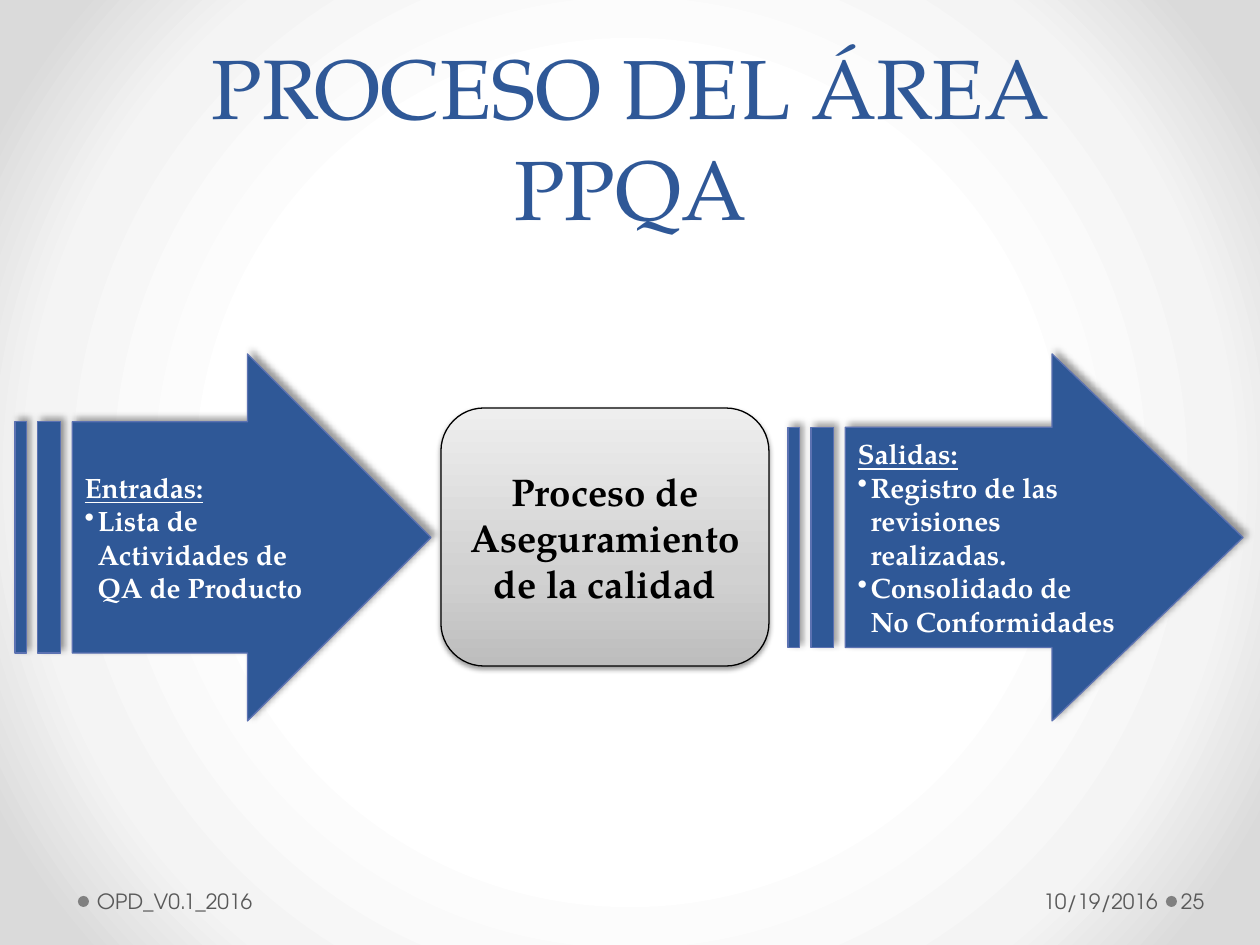
from dataclasses import dataclass

from lxml.etree import SubElement
from pptx import Presentation
from pptx.dml.color import RGBColor
from pptx.enum.shapes import MSO_SHAPE as Shape
from pptx.enum.text import MSO_ANCHOR as Anchor, PP_ALIGN as Align
from pptx.oxml import parse_xml
from pptx.oxml.ns import nsdecls, qn
from pptx.util import Emu, Pt

PX_PER_INCH = 126


def px(length: int) -> Emu:
    return Emu(round(length * 914400 / PX_PER_INCH))


@dataclass(frozen=True)
class Theme:
    blue: str = "2F5897"
    blue_edge: str = "5C72B2"
    white: str = "FFFFFF"
    black: str = "000000"
    footer_text: str = "595959"
    footer_dot: str = "808080"
    backdrop: tuple = ((50, "FFFFFF"), (76, "F4F4F4"), (92, "DADADA"))
    process: tuple = ((0, "BDBDBD"), (35, "D1D1D1"), (100, "EEEEEE"))
    serif: str = "TeX Gyre Pagella"
    sans: str = "TeX Gyre Adventor"
    title_size: int = 48
    process_size: int = 22
    arrow_size: int = 16
    footer_size: int = 12
    edge_width: float = 0.75


THEME = Theme()


@dataclass(frozen=True)
class Box:
    left: int
    top: int
    width: int
    height: int

    def emu(self) -> tuple:
        return tuple(map(px, (self.left, self.top, self.width, self.height)))


@dataclass(frozen=True)
class Shadow:
    opacity: int
    blur: float
    distance: float
    angle: int


@dataclass(frozen=True)
class Arrow:
    box: Box
    shaft: float
    head: float
    heading: str
    items: tuple


@dataclass(frozen=True)
class Label:
    box: Box
    text: str
    font: str
    size: int
    color: str
    align: Align = Align.LEFT
    anchor: Anchor = Anchor.MIDDLE
    insets: tuple = (13, 13)  # left, right


ARROW_SHADOW = Shadow(40, 4, 3, 315)
PROCESS_SHADOW = Shadow(38, 3.1, 1.6, 90)
ARROWS = (
    Arrow(Box(15, 354, 416, 367), 0.63, 0.5, "Entradas:",
          ("Lista de Actividades de QA de Producto",)),
    Arrow(Box(788, 354, 455, 367), 0.6, 0.52, "Salidas:",
          ("Registro de las revisiones realizadas.", "Consolidado de No Conformidades")),
)
PROCESS_BOX = Box(441, 408, 328, 258)
FOOTER_TOP, FOOTER_HEIGHT = 876, 50
FOOTER_DOTS = tuple(Box(left, 896, 11, 11) for left in (1166, 78))
FOOTER_STYLE = (THEME.sans, THEME.footer_size, THEME.footer_text)
LABELS = (
    Label(Box(35, 24, 1191, 219), "PROCESO DEL ÁREA\vPPQA", THEME.serif,
          THEME.title_size, THEME.blue, Align.CENTER, Anchor.BOTTOM),
    Label(Box(91, FOOTER_TOP, 499, FOOTER_HEIGHT), "OPD_V0.1_2016",
          *FOOTER_STYLE, insets=(6, 13)),
    Label(Box(877, FOOTER_TOP, 287, FOOTER_HEIGHT), "10/19/2016",
          *FOOTER_STYLE, align=Align.RIGHT, insets=(13, 6)),
    Label(Box(1177, FOOTER_TOP, 77, FOOTER_HEIGHT), "25",
          *FOOTER_STYLE, insets=(4, 6)),
)


def set_gradient(fill, owner, stops: tuple, direction: str) -> None:
    """Give fill, whose XML lies inside owner, these stops and this direction."""
    fill.gradient()
    default = next(owner.iter(qn("a:gradFill")))
    stop_xml = "".join(f'<a:gs pos="{pos * 1000}"><a:srgbClr val="{color}"/></a:gs>'
                       for pos, color in stops)
    default.getparent().replace(default, parse_xml(
        f'<a:gradFill {nsdecls("a")} rotWithShape="1">'
        f"<a:gsLst>{stop_xml}</a:gsLst>{direction}</a:gradFill>"))


def cast_shadow(shape, shadow: Shadow) -> None:
    shape.shadow.inherit = False
    effects = shape._element.spPr.find(qn("a:effectLst"))
    outer = SubElement(effects, qn("a:outerShdw"), blurRad=str(Pt(shadow.blur)),
                       dist=str(Pt(shadow.distance)), dir=str(shadow.angle * 60000),
                       algn="ctr", rotWithShape="0")
    color = SubElement(outer, qn("a:srgbClr"), val=THEME.black)
    SubElement(color, qn("a:alpha"), val=str(shadow.opacity * 1000))


def set_edge(shape, color: str) -> None:
    shape.line.color.rgb = RGBColor.from_string(color)
    shape.line.width = Pt(THEME.edge_width)


def set_font(paragraph, name: str, size: int, color: str, bold: bool = False) -> None:
    font = paragraph.font
    font.name, font.size, font.bold = name, Pt(size), bold
    font.color.rgb = RGBColor.from_string(color)


def add_bullet(paragraph) -> None:
    properties = paragraph._p.get_or_add_pPr()
    properties.set("marL", str(px(13)))
    properties.set("indent", str(-px(13)))
    SubElement(properties, qn("a:buChar"), char="•")


def draw_arrow(slide, arrow: Arrow) -> None:
    shape = slide.shapes.add_shape(Shape.STRIPED_RIGHT_ARROW, *arrow.box.emu())
    shape.adjustments[0], shape.adjustments[1] = arrow.shaft, arrow.head
    shape.fill.solid()
    shape.fill.fore_color.rgb = RGBColor.from_string(THEME.blue)
    set_edge(shape, THEME.blue_edge)
    cast_shadow(shape, ARROW_SHADOW)
    frame = shape.text_frame
    frame.word_wrap, frame.vertical_anchor = True, Anchor.MIDDLE
    frame.text = "\n".join((arrow.heading, *arrow.items))
    for index, paragraph in enumerate(frame.paragraphs):
        paragraph.alignment = Align.LEFT
        if index:
            add_bullet(paragraph)
        set_font(paragraph, THEME.serif, THEME.arrow_size, THEME.white, bold=True)
        paragraph.font.underline = index == 0


def draw_process(slide) -> None:
    shape = slide.shapes.add_shape(Shape.ROUNDED_RECTANGLE, *PROCESS_BOX.emu())
    set_gradient(shape.fill, shape._element, THEME.process,
                 '<a:lin ang="16200000" scaled="0"/>')
    set_edge(shape, THEME.black)
    cast_shadow(shape, PROCESS_SHADOW)
    frame = shape.text_frame
    frame.word_wrap, frame.vertical_anchor = True, Anchor.MIDDLE
    frame.text = "Proceso de Aseguramiento de la calidad"
    paragraph = frame.paragraphs[0]
    paragraph.alignment = Align.CENTER
    set_font(paragraph, THEME.serif, THEME.process_size, THEME.black, bold=True)


def draw_label(slide, label: Label) -> None:
    frame = slide.shapes.add_textbox(*label.box.emu()).text_frame
    frame.word_wrap, frame.vertical_anchor = True, label.anchor
    frame.margin_left, frame.margin_right = map(px, label.insets)
    frame.text = label.text
    paragraph = frame.paragraphs[0]
    paragraph.alignment = label.align
    set_font(paragraph, label.font, label.size, label.color)


def draw_dot(slide, box: Box) -> None:
    dot = slide.shapes.add_shape(Shape.OVAL, *box.emu())
    dot.shadow.inherit = False
    dot.fill.solid()
    dot.fill.fore_color.rgb = RGBColor.from_string(THEME.footer_dot)
    dot.line.fill.background()


def main() -> None:
    deck = Presentation()
    deck.slide_width, deck.slide_height = px(1260), px(945)
    slide = deck.slides.add_slide(deck.slide_layouts[6])
    set_gradient(slide.background.fill, slide._element, THEME.backdrop,
                 '<a:path path="circle"><a:fillToRect l="50000" t="50000" '
                 'r="50000" b="50000"/></a:path>')
    for dot in FOOTER_DOTS:
        draw_dot(slide, dot)
    for arrow in ARROWS:
        draw_arrow(slide, arrow)
    draw_process(slide)
    for label in LABELS:
        draw_label(slide, label)
    deck.save("out.pptx")


if __name__ == "__main__":
    main()
